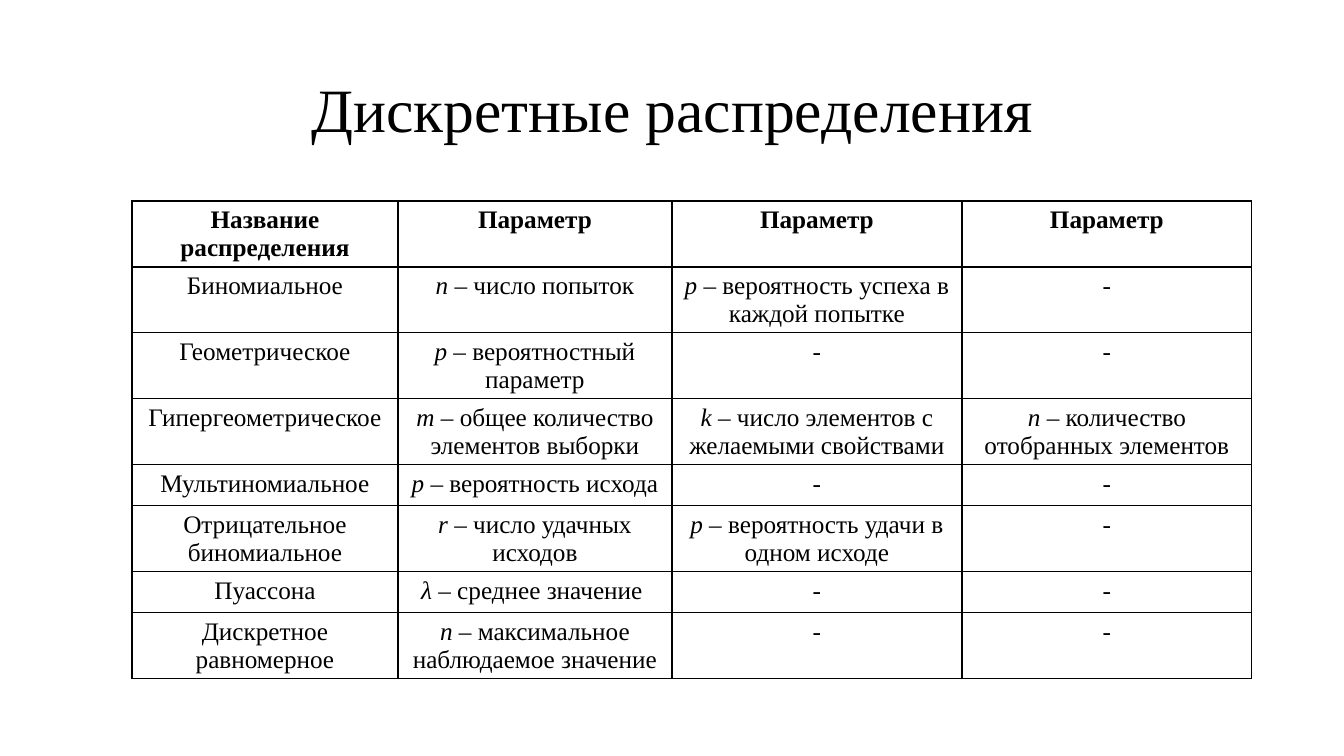
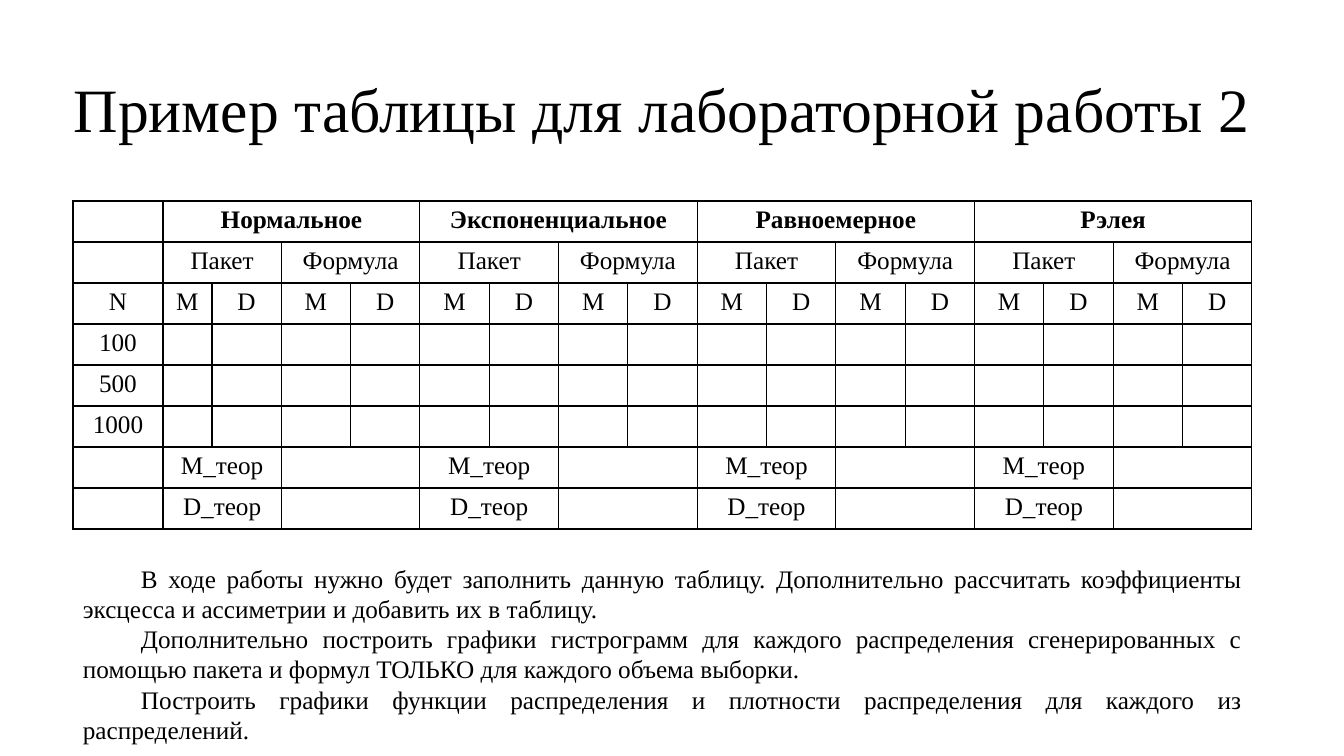
from lxml.etree import SubElement
from pptx import Presentation
from pptx.dml.color import RGBColor
from pptx.enum.text import MSO_ANCHOR, MSO_AUTO_SIZE, PP_ALIGN
from pptx.oxml.ns import qn
from pptx.util import Pt

EMU_PER_PX = 914400 / 100.8
FONT, INK = "Times New Roman", "000000"
ROW_HEIGHT, TABLE_TOP, TABLE_RIGHT = 41, 201, 1252

# A pair holds an italic symbol and the upright words after it.
DISTRIBUTIONS_TITLE = "Дискретные распределения"
DISTRIBUTIONS_LEFT = 132
DISTRIBUTIONS_WIDTHS = [266, 274, 290, 290]
DISTRIBUTIONS = [
    ["Название распределения", "Параметр", "Параметр", "Параметр"],
    ["Биномиальное", ("n", " – число попыток"),
     ("p – ", "вероятность успеха в каждой попытке"), ("-", "")],
    ["Геометрическое", ("p ", "– вероятностный параметр"), "-", "-"],
    ["Гипергеометрическое", ("m", " – общее количество элементов выборки"),
     ("k", " – число элементов с желаемыми свойствами"),
     ("n", " – количество отобранных элементов")],
    ["Мультиномиальное", ("p ", "– вероятность исхода"), "-", "-"],
    ["Отрицательное биномиальное", ("r – ", "число удачных исходов"),
     ("p", " – вероятность удачи в одном исходе"), "-"],
    ["Пуассона", ("λ – ", "среднее значение "), "-", "-"],
    ["Дискретное равномерное", ("n ", "– максимальное наблюдаемое значение"), "-", "-"],
]

LAB_TITLE = "Пример таблицы для лабораторной работы 2"
LAB_LEFT = 73
LAB_SIZE_WIDTH, LAB_FIRST_MEAN_WIDTH = 90, 49
LAWS = ["Нормальное", "Экспоненциальное", "Равноемерное", "Рэлея"]
# Row label, the entries to its right, and the columns each entry spans.
LAB_ROWS = [
    ("", LAWS, 4),
    ("", ["Пакет", "Формула"] * len(LAWS), 2),
    ("N", ["M", "D"] * 2 * len(LAWS), 1),
    ("100", [], 1),
    ("500", [], 1),
    ("1000", [], 1),
    ("", ["M_теор", ""] * len(LAWS), 2),
    ("", ["D_теор", ""] * len(LAWS), 2),
]
LAB_TASKS = [
    "В ходе работы нужно будет заполнить данную таблицу. Дополнительно рассчитать "
    "коэффициенты эксцесса и ассиметрии и добавить их в таблицу.",
    "Дополнительно построить графики гистрограмм для каждого распределения "
    "сгенерированных с помощью пакета и формул ТОЛЬКО для каждого объема выборки.",
    "Построить графики функции распределения и плотности распределения для каждого "
    "из распределений.",
]


def px(length):
    return round(length * EMU_PER_PX)


def color(value):
    return RGBColor.from_string(value)


def write(frame, paragraphs, size=18, bold=False, align=PP_ALIGN.CENTER,
          line_spacing=None, first_indent=0):
    """Fill a text frame; each paragraph is a string or an (italic, upright) pair."""
    for index, content in enumerate(paragraphs):
        paragraph = frame.paragraphs[0] if index == 0 else frame.add_paragraph()
        paragraph.alignment = align
        if line_spacing:
            paragraph.line_spacing = line_spacing
        if first_indent:
            paragraph._p.get_or_add_pPr().set("indent", str(px(first_indent)))
        italic, upright = content if isinstance(content, tuple) else ("", content)
        for words, slanted in ((italic, True), (upright, False)):
            if words:
                run = paragraph.add_run()
                run.text = words
                run.font.name, run.font.size = FONT, Pt(size)
                run.font.bold, run.font.italic = bold, slanted
                run.font.color.rgb = color(INK)


def add_titled_slide(deck, text, left, width):
    slide = deck.slides.add_slide(deck.slide_layouts[5])
    title = slide.shapes.title
    title.left, title.top, title.width, title.height = map(px, (left, 40, width, 146))
    frame = title.text_frame
    frame.word_wrap = True
    frame.auto_size = MSO_AUTO_SIZE.NONE
    frame.vertical_anchor = MSO_ANCHOR.MIDDLE
    write(frame, [text], size=44, line_spacing=0.9)
    return slide


def outline(cell):
    """Give a cell thin ink borders and no fill."""
    properties = cell._tc.get_or_add_tcPr()
    for side in ("lnL", "lnR", "lnT", "lnB"):
        line = SubElement(properties, qn(f"a:{side}"), w=str(Pt(1)))
        SubElement(SubElement(line, qn("a:solidFill")), qn("a:srgbClr"), val=INK)
    cell.fill.background()


def add_grid(slide, left, widths, row_count):
    table = slide.shapes.add_table(
        row_count, len(widths), px(left), px(TABLE_TOP),
        px(sum(widths)), px(ROW_HEIGHT * row_count)).table
    table.first_row = table.horz_banding = False
    for column, width in zip(table.columns, widths):
        column.width = px(width)
    for row in table.rows:
        row.height = px(ROW_HEIGHT)
    for cell in table.iter_cells():
        outline(cell)
    return table


def build_distributions(deck):
    slide = add_titled_slide(deck, DISTRIBUTIONS_TITLE, 93, 1159)
    table = add_grid(slide, DISTRIBUTIONS_LEFT, DISTRIBUTIONS_WIDTHS, len(DISTRIBUTIONS))
    for r, entries in enumerate(DISTRIBUTIONS):
        for c, entry in enumerate(entries):
            write(table.cell(r, c).text_frame, [entry], bold=r == 0)


def build_lab(deck):
    slide = add_titled_slide(deck, LAB_TITLE, 57, 1210)
    width = TABLE_RIGHT - LAB_LEFT
    equal_count = 4 * len(LAWS) - 1
    equal_width = (width - LAB_SIZE_WIDTH - LAB_FIRST_MEAN_WIDTH) / equal_count
    widths = [LAB_SIZE_WIDTH, LAB_FIRST_MEAN_WIDTH] + [equal_width] * equal_count
    table = add_grid(slide, LAB_LEFT, widths, len(LAB_ROWS))
    for r, (label, entries, span) in enumerate(LAB_ROWS):
        write(table.cell(r, 0).text_frame, [label])
        for index, entry in enumerate(entries):
            c = 1 + index * span
            cell = table.cell(r, c)
            if span > 1:
                cell.merge(table.cell(r, c + span - 1))
            write(cell.text_frame, [entry], bold=r == 0)

    tasks = slide.shapes.add_textbox(px(LAB_LEFT), px(558), px(width), px(194)).text_frame
    tasks.word_wrap = True
    write(tasks, LAB_TASKS, align=PP_ALIGN.JUSTIFY, first_indent=58)


def main():
    deck = Presentation()
    deck.slide_width, deck.slide_height = px(1344), px(756)
    build_distributions(deck)
    build_lab(deck)
    deck.save("out.pptx")


if __name__ == "__main__":
    main()
